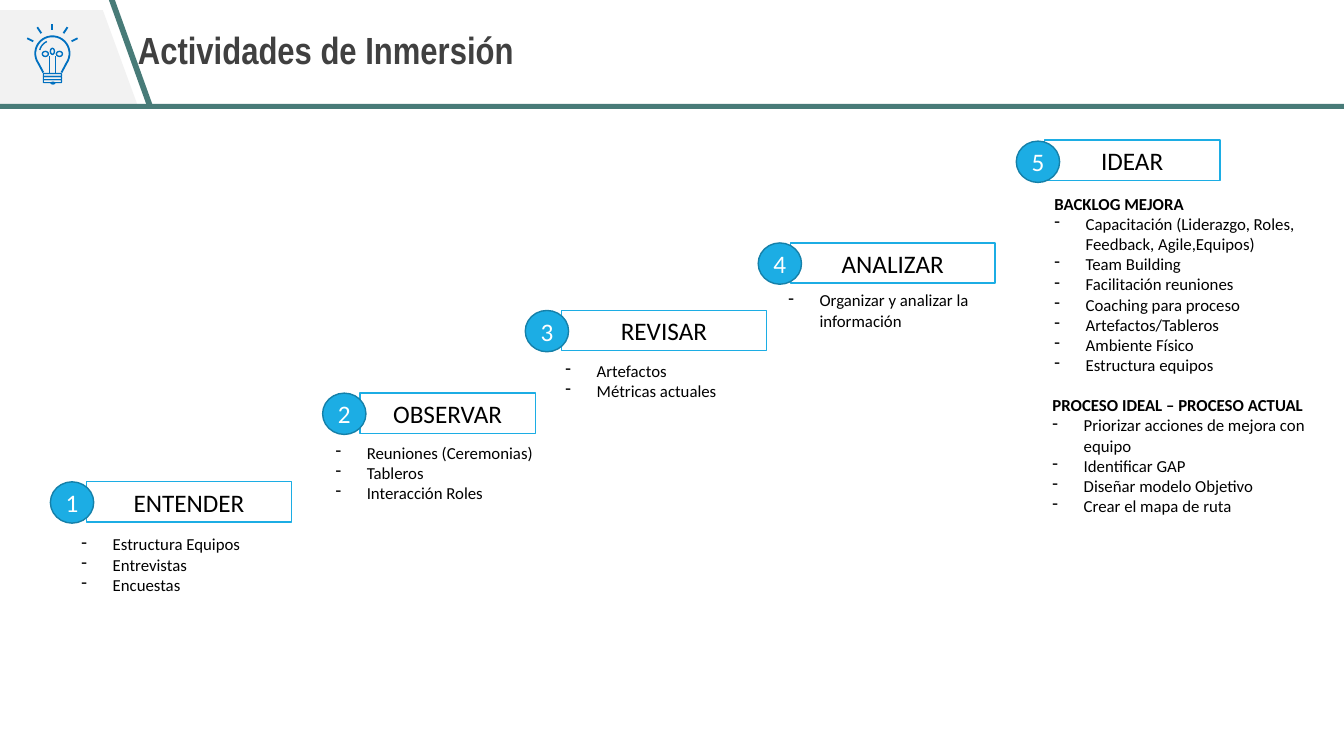
from dataclasses import dataclass
from math import cos, radians, sin

from lxml import etree
from pptx import Presentation
from pptx.dml.color import RGBColor
from pptx.enum.shapes import MSO_CONNECTOR, MSO_SHAPE
from pptx.enum.text import MSO_ANCHOR, PP_ALIGN
from pptx.oxml.ns import qn
from pptx.util import Inches, Pt

RECTANGLE = MSO_SHAPE.RECTANGLE
OVAL = MSO_SHAPE.OVAL
ROUNDED = MSO_SHAPE.ROUNDED_RECTANGLE
STRAIGHT = MSO_CONNECTOR.STRAIGHT
MIDDLE = MSO_ANCHOR.MIDDLE
TOP = MSO_ANCHOR.TOP
CENTER = PP_ALIGN.CENTER
LEFT = PP_ALIGN.LEFT


@dataclass(frozen=True)
class Theme:
    title_font: str = "Arial Narrow"
    body_font: str = "Calibri"
    title_size: int = 27
    stage_size: int = 18
    body_size: int = 12
    title: str = "404040"
    black: str = "000000"
    white: str = "FFFFFF"
    blue: str = "1CADE4"
    badge_edge: str = "1580A9"
    teal: str = "487B78"
    panel: str = "F2F2F2"
    bulb: str = "0070C0"


THEME = Theme()
LINE_HEIGHT = 0.2
BULLET_INDENT = 0.31

STAGES = [
    ("ENTENDER", (0.86, 4.78, 2.03), (0.5, 4.78)),
    ("OBSERVAR", (3.57, 3.9, 1.74), (3.2, 3.9)),
    ("REVISAR", (5.57, 3.08, 2.03), (5.21, 3.08)),
    ("ANALIZAR", (7.84, 2.41, 2.03), (7.52, 2.41)),
    ("IDEAR", (10.36, 1.39, 1.74), (10.08, 1.4)),
]

ACTIVITIES = [
    ((0.71, 5.25, 2.36), None, ["Estructura Equipos", "Entrevistas", "Encuestas"]),
    ((3.23, 4.34, 2.36), None, ["Reuniones (Ceremonias)", "Tableros", "Interacción Roles"]),
    ((5.51, 3.53, 2.15), None, ["Artefactos", "Métricas actuales"]),
    ((7.72, 2.83, 2.15), None, ["Organizar y analizar la información"]),
    ((10.36, 1.87, 2.63), "BACKLOG MEJORA", [
        "Capacitación (Liderazgo, Roles, Feedback, Agile,Equipos)",
        "Team Building",
        "Facilitación reuniones",
        "Coaching para proceso",
        "Artefactos/Tableros",
        "Ambiente Físico",
        "Estructura equipos",
    ]),
    ((10.34, 3.87, 2.82), "PROCESO IDEAL – PROCESO ACTUAL", [
        "Priorizar acciones de mejora con equipo",
        "Identificar GAP",
        "Diseñar modelo Objetivo",
        "Crear el mapa de ruta",
    ]),
]


def paint(shape, fill=None, edge=None, width=1):
    shape.shadow.inherit = False
    if fill:
        shape.fill.solid()
        shape.fill.fore_color.rgb = RGBColor.from_string(fill)
    else:
        shape.fill.background()
    if edge:
        shape.line.color.rgb = RGBColor.from_string(edge)
        shape.line.width = Pt(width)
    else:
        shape.line.fill.background()


def add_preset(slide, preset, bounds, fill=None, edge=None, width=1):
    shape = slide.shapes.add_shape(preset, *map(Inches, bounds))
    paint(shape, fill, edge, width)
    return shape


def add_outline(slide, points, fill=None, edge=None, width=1, close=True):
    start, *rest = [(Inches(x), Inches(y)) for x, y in points]
    builder = slide.shapes.build_freeform(*start, scale=1.0)
    builder.add_line_segments(rest, close=close)
    paint(builder.convert_to_shape(), fill, edge, width)


def add_stroke(slide, start, end, color, width):
    stroke = slide.shapes.add_connector(STRAIGHT, *map(Inches, start + end))
    stroke.line.color.rgb = RGBColor.from_string(color)
    stroke.line.width = Pt(width)
    etree.SubElement(stroke._element.spPr, qn("a:effectLst"))


def add_run(paragraph, text, size, color, font=THEME.body_font, bold=False):
    run = paragraph.add_run()
    run.text = text
    run.font.name = font
    run.font.size = Pt(size)
    run.font.bold = bold
    run.font.color.rgb = RGBColor.from_string(color)


def set_frame(shape, anchor, side=0.1):
    frame = shape.text_frame
    frame.word_wrap = True
    frame.vertical_anchor = anchor
    frame.margin_left = frame.margin_right = Inches(side)
    frame.margin_top = frame.margin_bottom = Inches(0.05)
    return frame


def set_dash(paragraph):
    properties = paragraph._p.get_or_add_pPr()
    properties.set("marL", str(Inches(BULLET_INDENT)))
    properties.set("indent", str(-Inches(BULLET_INDENT)))
    etree.SubElement(properties, qn("a:buFontTx"))
    etree.SubElement(properties, qn("a:buChar")).set("char", "-")


def add_bulb(slide):
    center_x, center_y, radius = 0.52, 0.53, 0.17
    glass = [(center_x + radius * cos(radians(angle)), center_y + radius * sin(radians(angle)))
             for angle in range(145, 396, 10)]
    neck_left, neck_right = (0.43, 0.72), (0.61, 0.72)
    add_outline(slide, [neck_left, *glass, neck_right], edge=THEME.bulb, width=1.3, close=False)

    glint = [(center_x + 0.13 * cos(radians(angle)), center_y + 0.13 * sin(radians(angle)))
             for angle in range(195, 246, 10)]
    add_outline(slide, glint, edge=THEME.bulb, close=False)

    for row in range(3):
        add_preset(slide, ROUNDED, (0.43, 0.73 + 0.03 * row, 0.18, 0.03), edge=THEME.bulb, width=0.8)
    add_preset(slide, OVAL, (0.5, 0.81, 0.05, 0.03), fill=THEME.bulb)

    for loop in [(0.42, 0.51, 0.06, 0.05), (0.5, 0.48, 0.04, 0.06), (0.56, 0.51, 0.06, 0.05)]:
        add_preset(slide, OVAL, loop, edge=THEME.bulb)
    for side in (-1, 1):
        add_stroke(slide, (center_x + 0.03 * side, 0.56), (center_x + 0.03 * side, 0.73), THEME.bulb, 1)
        for inner, outer in [((0.19, 0.41), (0.25, 0.38)), ((0.11, 0.33), (0.15, 0.27))]:
            add_stroke(slide, (center_x + side * inner[0], inner[1]),
                       (center_x + side * outer[0], outer[1]), THEME.bulb, 1.3)
    add_stroke(slide, (center_x, 0.24), (center_x, 0.3), THEME.bulb, 1.3)


def add_header(slide, title):
    add_outline(slide, [(0, 0.1), (1.02, 0.1), (1.36, 1.03), (0, 1.03)], fill=THEME.panel)
    add_bulb(slide)
    add_preset(slide, RECTANGLE, (0, 1.03, 13.33, 0.05), fill=THEME.teal)
    add_outline(slide, [(1.08, 0), (1.14, 0), (1.51, 1.03), (1.45, 1.03)], fill=THEME.teal)
    heading = slide.shapes.add_textbox(*map(Inches, (1.27, 0, 9.27, 1.03)))
    paragraph = set_frame(heading, MIDDLE).paragraphs[0]
    paragraph.line_spacing = 0.9
    add_run(paragraph, title, THEME.title_size, THEME.title, THEME.title_font, True)


def add_label(slide, preset, bounds, text, fill, edge, color, side):
    label = add_preset(slide, preset, bounds, fill, edge)
    paragraph = set_frame(label, MIDDLE, side).paragraphs[0]
    paragraph.alignment = CENTER
    add_run(paragraph, text, THEME.stage_size, color)


def add_activities(slide, place, heading, items):
    left, top, width = place
    height = 0.1 + LINE_HEIGHT * (len(items) + 1)
    box = slide.shapes.add_textbox(*map(Inches, (left, top, width, height)))
    frame = set_frame(box, TOP)
    lines = ([heading] if heading else []) + items
    for index, text in enumerate(lines):
        paragraph = frame.add_paragraph() if index else frame.paragraphs[0]
        paragraph.alignment = LEFT
        is_heading = text == heading
        if not is_heading:
            set_dash(paragraph)
        add_run(paragraph, text, THEME.body_size, THEME.black, bold=is_heading)


def main():
    deck = Presentation()
    deck.slide_width, deck.slide_height = Inches(13.33), Inches(7.5)
    slide = deck.slides.add_slide(deck.slide_layouts[6])
    add_header(slide, "Actividades de Inmersión")
    for name, (left, top, width), _ in STAGES:
        add_label(slide, RECTANGLE, (left, top, width, 0.4), name,
                  THEME.white, THEME.blue, THEME.black, 0.1)
    for place, heading, items in ACTIVITIES:
        add_activities(slide, place, heading, items)
    for number, (_, _, badge) in enumerate(STAGES, 1):
        add_label(slide, OVAL, (*badge, 0.43, 0.41), str(number),
                  THEME.blue, THEME.badge_edge, THEME.white, 0)
    deck.save("out.pptx")


if __name__ == "__main__":
    main()
